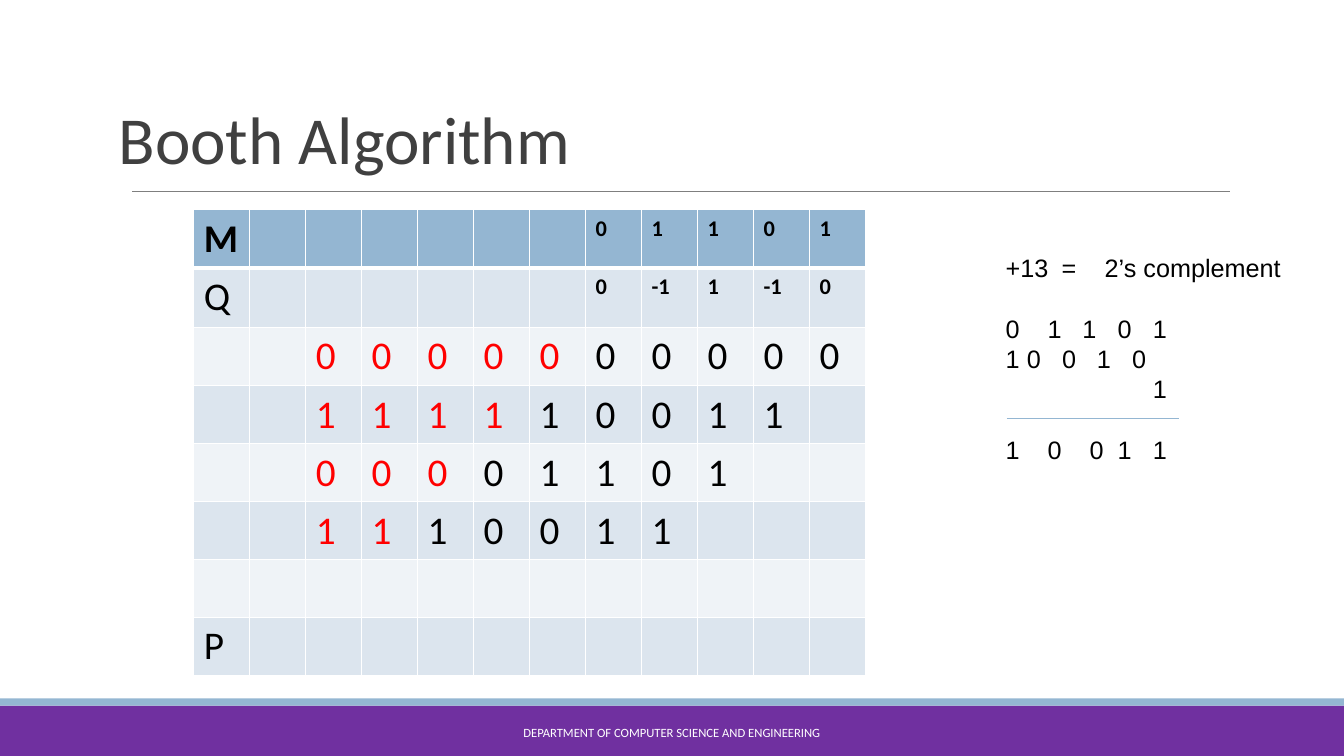
"""Build the Booth Algorithm slide with its multiplication table and worked complement."""
from dataclasses import dataclass

from lxml import etree
from pptx import Presentation
from pptx import util as u
from pptx.dml.color import RGBColor
from pptx.enum import shapes, text
from pptx.oxml import ns

SLIDE_WIDTH, SLIDE_HEIGHT = u.Inches(13.33), u.Inches(7.5)
GRID_COLUMNS, GRID_ROWS = 24, 15
TABLE_COLUMNS = 12


@dataclass(frozen=True)
class Theme:
    heading_font: str = "Calibri"
    working_font: str = "Arial"
    white: str = "FFFFFF"
    black: str = "000000"
    title: str = "404040"
    rule: str = "7F7F7F"
    accent: str = "94B6D2"
    footer: str = "7030A0"
    sign: str = "FF0000"
    dark_band: str = "DCE5EE"
    light_band: str = "EFF3F7"
    title_size: float = 48
    digit_size: float = 28
    operand_size: float = 16
    working_size: float = 18
    working_leading: float = 21.7
    footer_size: float = 9


THEME = Theme()


@dataclass(frozen=True)
class Area:
    column: float
    row: float
    columns: float
    rows: float


@dataclass(frozen=True)
class Rule:
    first: float
    last: float
    row: float
    color: str
    width: float


@dataclass(frozen=True)
class Line:
    words: str
    font: str
    size: float
    color: str
    tabs: tuple[float, ...] = ()
    layout: tuple[tuple[str, object], ...] = ()


@dataclass(frozen=True)
class Block:
    area: Area
    anchor: text.MSO_ANCHOR
    lines: tuple[Line, ...]


@dataclass(frozen=True)
class TableRow:
    label: str = ""
    digits: str = ""
    start: int = 2
    sign_digits: int = 0
    operand: bool = False
    height: float = 1.14


def across(columns: float) -> int:
    return round(SLIDE_WIDTH * columns / GRID_COLUMNS)


def down(rows: float) -> int:
    return round(SLIDE_HEIGHT * rows / GRID_ROWS)


def frame(area: Area) -> tuple[int, int, int, int]:
    return across(area.column), down(area.row), across(area.columns), down(area.rows)


def apply(target, values: dict) -> None:
    for attribute, value in values.items():
        setattr(target, attribute, value)


def write(paragraph, words: str, font: str, size: float, color: str, bold: bool = False) -> None:
    run = paragraph.add_run()
    run.text = words
    apply(run.font, {"name": font, "size": u.Pt(size), "bold": bold})
    run.font.color.rgb = RGBColor.from_string(color)


def draw_band(slide, area: Area, color: str) -> None:
    band = slide.shapes.add_shape(shapes.MSO_SHAPE.RECTANGLE, *frame(area))
    band.shadow.inherit = False
    band.fill.solid()
    band.fill.fore_color.rgb = RGBColor.from_string(color)
    band.line.fill.background()


def draw_rule(slide, rule: Rule) -> None:
    line = slide.shapes.add_connector(
        shapes.MSO_CONNECTOR.STRAIGHT,
        across(rule.first), down(rule.row), across(rule.last), down(rule.row))
    line.line.color.rgb = RGBColor.from_string(rule.color)
    line.line.width = u.Pt(rule.width)
    etree.SubElement(line._element.spPr, ns.qn("a:effectLst"))


def draw_block(slide, block: Block) -> None:
    body = slide.shapes.add_textbox(*frame(block.area)).text_frame
    apply(body, {"word_wrap": True, "vertical_anchor": block.anchor})
    for index, line in enumerate(block.lines):
        paragraph = body.add_paragraph() if index else body.paragraphs[0]
        if line.tabs:
            stops = etree.SubElement(paragraph._p.get_or_add_pPr(), ns.qn("a:tabLst"))
            for stop in line.tabs:
                etree.SubElement(stops, ns.qn("a:tab"), pos=str(across(stop)), algn="l")
        apply(paragraph, dict(line.layout))
        write(paragraph, line.words, line.font, line.size, line.color)


def border_cell(cell, widths: dict[str, float]) -> None:
    properties = cell._tc.get_or_add_tcPr()
    for position, (side, width) in enumerate(widths.items()):
        edge = etree.Element(ns.qn(f"a:{side}"), w=str(u.Pt(width)))
        fill = etree.SubElement(edge, ns.qn("a:solidFill"))
        etree.SubElement(fill, ns.qn("a:srgbClr"), val=THEME.white)
        properties.insert(position, edge)


def draw_table(slide, column: float, row: float, rows: list[TableRow]) -> None:
    area = Area(column, row, TABLE_COLUMNS, sum(entry.height for entry in rows))
    table = slide.shapes.add_table(len(rows), TABLE_COLUMNS, *frame(area)).table
    for grid_column in table.columns:
        grid_column.width = across(1)
    for index, entry in enumerate(rows):
        table.rows[index].height = down(entry.height)
        band = THEME.dark_band if index % 2 else THEME.light_band
        digits = dict(enumerate(entry.digits.split(), entry.start))
        for position, cell in enumerate(table.rows[index].cells):
            cell.fill.solid()
            cell.fill.fore_color.rgb = RGBColor.from_string(band if index else THEME.accent)
            border_cell(cell, {"lnL": 1, "lnR": 1, "lnT": 3 if index == 1 else 1,
                               "lnB": 1 if index else 3})
            words = digits.get(position, "" if position else entry.label)
            if words:
                signed = entry.start <= position < entry.start + entry.sign_digits
                small = entry.operand and position > 0
                write(cell.text_frame.paragraphs[0], words, THEME.heading_font,
                      THEME.operand_size if small else THEME.digit_size,
                      THEME.sign if signed else THEME.black, small or index == 0)


def working_line(words: str, *tabs: float, gap: bool = False) -> Line:
    leading = u.Pt(THEME.working_leading)
    layout = (("line_spacing", leading), ("space_before", leading if gap else u.Pt(0)))
    return Line(words, THEME.working_font, THEME.working_size, THEME.black, tabs, layout)


BANDS = [(Area(0, 14, 24, 1), THEME.footer), (Area(0, 13.86, 24, 0.14), THEME.accent)]
RULES = [Rule(2.36, 21.96, 3.8, THEME.rule, 0.75), Rule(17.98, 21.06, 8.3, THEME.accent, 1)]
BOOTH_ROWS = [
    TableRow("M", "0 1 1 0 1", 7, operand=True),
    TableRow("Q", "0 -1 1 -1 0", 7, operand=True, height=1.19),
    TableRow(digits="0 0 0 0 0 0 0 0 0 0", sign_digits=5),
    TableRow(digits="1 1 1 1 1 0 0 1 1", sign_digits=4),
    TableRow(digits="0 0 0 0 1 1 0 1", sign_digits=3),
    TableRow(digits="1 1 1 0 0 1 1", sign_digits=2),
    TableRow(),
    TableRow("P"),
]
BLOCKS = [
    Block(Area(7.25, 14.14, 9.49, 0.8), text.MSO_ANCHOR.MIDDLE, (
        Line("DEPARTMENT OF COMPUTER SCIENCE AND ENGINEERING", THEME.heading_font,
             THEME.footer_size, THEME.white, layout=(("alignment", text.PP_ALIGN.CENTER),)),)),
    Block(Area(1.94, 1.48, 16.06, 2.16), text.MSO_ANCHOR.BOTTOM, (
        Line("Booth Algorithm", THEME.heading_font, THEME.title_size, THEME.title,
             layout=(("line_spacing", 0.85),)),)),
    Block(Area(17.78, 4.9, 6.21, 5.04), text.MSO_ANCHOR.TOP, (
        working_line("+13\t=\t2’s complement", 1, 1.77),
        working_line("0\t1\t1\t0\t1", 0.75, 1.37, 2, 2.63, gap=True),
        working_line("1\t0\t0\t1\t0", 0.38, 1.01, 1.63, 2.26),
        working_line("\t1", 2.63),
        working_line("1\t0\t0\t1\t1", 0.75, 1.5, 2, 2.63, gap=True))),
]


def main() -> None:
    deck = Presentation()
    apply(deck, {"slide_width": SLIDE_WIDTH, "slide_height": SLIDE_HEIGHT})
    slide = deck.slides.add_slide(deck.slide_layouts[6])
    for area, color in BANDS:
        draw_band(slide, area, color)
    draw_table(slide, 3.46, 4.16, BOOTH_ROWS)
    for block in BLOCKS:
        draw_block(slide, block)
    for rule in RULES:
        draw_rule(slide, rule)
    deck.save("out.pptx")


if __name__ == "__main__":
    main()
